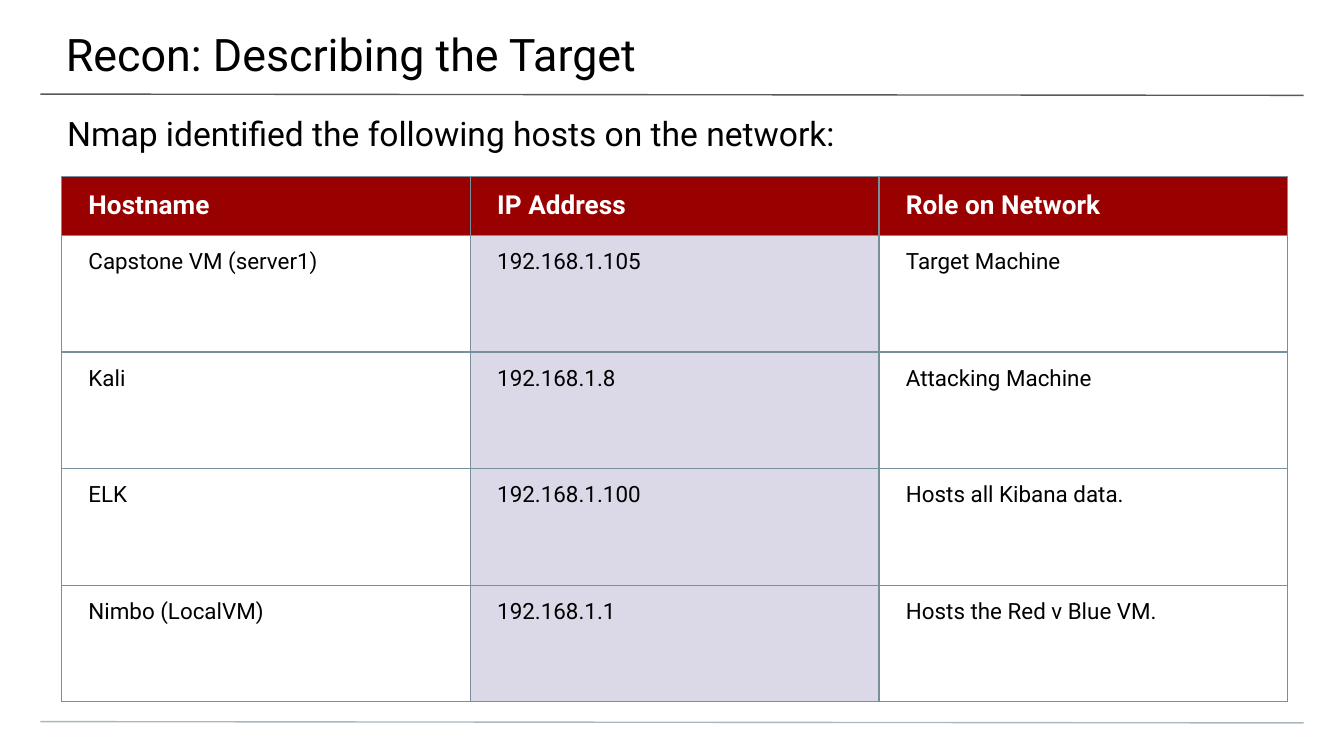
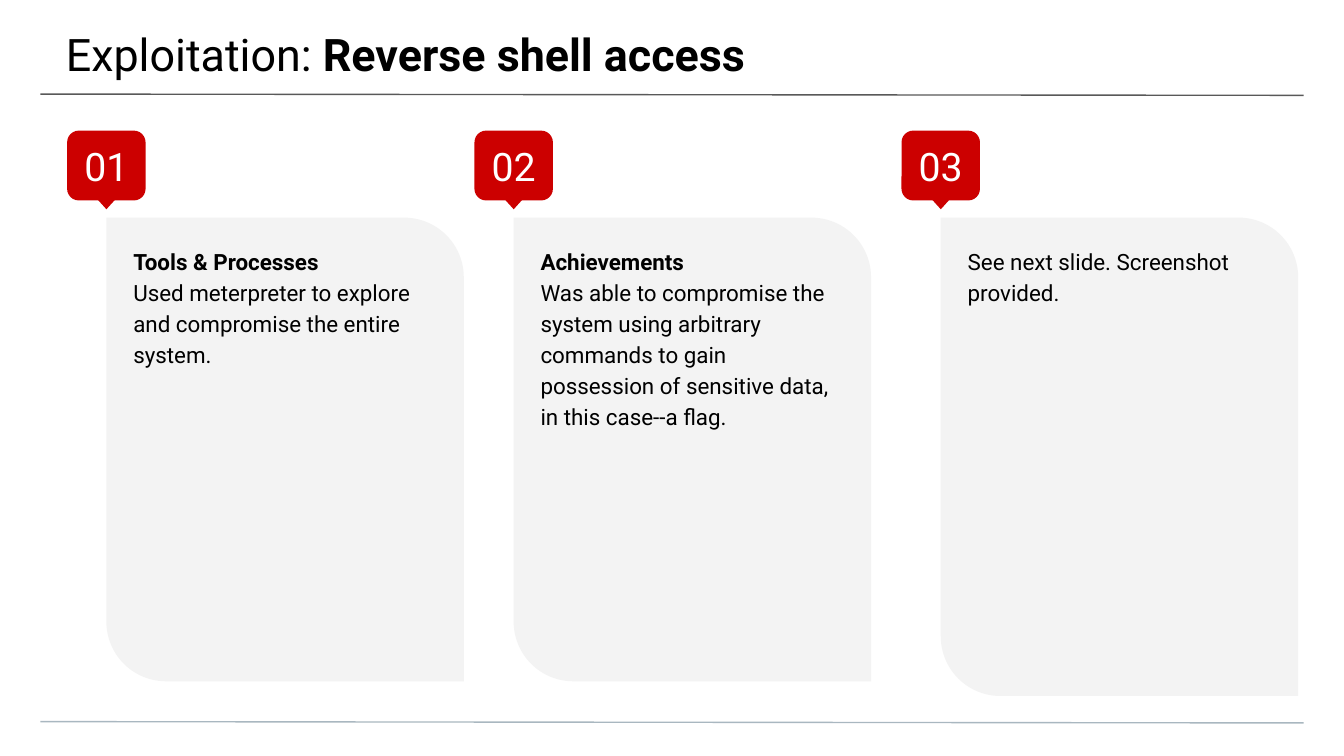
from pptx import Presentation
from pptx.dml.color import RGBColor
from pptx.enum.shapes import MSO_CONNECTOR, MSO_SHAPE
from pptx.enum.text import MSO_ANCHOR, MSO_AUTO_SIZE, PP_ALIGN
from pptx.oxml.ns import qn
from pptx.util import Pt
from lxml.etree import SubElement

COLORS = {
    "black": "000000",
    "white": "FFFFFF",
    "rule": "595959",
    "foot": "A9B7C0",
    "border": "78909C",
    "head": "990000",
    "shade": "DBD9E8",
    "tag": "CC0000",
    "card": "F3F3F3",
}


def color(name):
    return RGBColor.from_string(COLORS[name])


def write(frame, *lines, size=12, ink="black", bold=False, align=PP_ALIGN.LEFT,
          anchor=MSO_ANCHOR.TOP, pad=(7.2, 7.2, 7.2, 7.2), space=None):
    frame.word_wrap = True
    frame.auto_size = MSO_AUTO_SIZE.NONE
    frame.vertical_anchor = anchor
    (frame.margin_left, frame.margin_top,
     frame.margin_right, frame.margin_bottom) = map(Pt, pad)
    for i, line in enumerate(lines):
        para = frame.paragraphs[0] if i == 0 else frame.add_paragraph()
        para.alignment = align
        para.line_spacing = space
        for part in [line] if isinstance(line, str) else line:
            text, strong = (part, bold) if isinstance(part, str) else part
            run = para.add_run()
            run.text = text
            run.font.name = "Roboto"
            run.font.size = Pt(size)
            run.font.bold = strong
            run.font.color.rgb = color(ink)


class Deck:
    def __init__(self):
        self.show = Presentation()
        self.show.slide_width = Pt(720)
        self.show.slide_height = Pt(405)
        self.slide = None

    def page(self, *title):
        self.slide = self.show.slides.add_slide(self.show.slide_layouts[5])
        self.rule(50.4, "rule")
        self.rule(386.6, "foot")
        head = self.slide.shapes.title
        head.left, head.top, head.width, head.height = map(Pt, (-0.7, 0, 722, 42))
        write(head.text_frame, title, size=24, pad=(36, 14.4, 21.6, 7.2))

    def rule(self, top, ink):
        line = self.slide.shapes.add_connector(
            MSO_CONNECTOR.STRAIGHT, Pt(21.6), Pt(top), Pt(698.4), Pt(top + 0.7))
        line.line.color.rgb = color(ink)
        line.line.width = Pt(0.75)
        SubElement(line._element.spPr, qn("a:effectLst"))

    def text(self, box, *lines, **style):
        area = self.slide.shapes.add_textbox(*map(Pt, box))
        write(area.text_frame, *lines, **style)

    def shape(self, kind, box, ink, home=None):
        item = (home or self.slide).shapes.add_shape(kind, *map(Pt, box))
        item.shadow.inherit = False
        item.fill.solid()
        item.fill.fore_color.rgb = color(ink)
        item.line.fill.background()
        return item

    def tag(self, left, label):
        group = self.slide.shapes.add_group_shape()
        badge = self.shape(MSO_SHAPE.ROUNDED_RECTANGLE, (left, 70, 42, 37.4), "tag", group)
        write(badge.text_frame, label, size=21, ink="white",
              align=PP_ALIGN.CENTER, anchor=MSO_ANCHOR.MIDDLE)
        tip = self.shape(MSO_SHAPE.FLOWCHART_EXTRACT, (left + 10.6, 100.6, 20.8, 11.5),
                         "tag", group)
        tip.rotation = 180

    def card(self, left, wide, high, *lines):
        top = 116.6
        back = self.shape(MSO_SHAPE.ROUND_2_DIAG_RECTANGLE, (left, top, 191.5, high), "card")
        back.adjustments[0] = 0
        back.adjustments[1] = 0.167
        self.text((left, top, wide, high), *lines, pad=[14.4] * 4, space=1.15)

    def table(self, left, top, wide, highs, rows):
        cols = len(rows[0])
        grid = self.slide.shapes.add_table(
            len(rows), cols, Pt(left), Pt(top), Pt(wide * cols), Pt(sum(highs))).table
        grid.first_row = grid.horz_banding = False
        for col in grid.columns:
            col.width = Pt(wide)
        for r, row in enumerate(rows):
            grid.rows[r].height = Pt(highs[r])
            for c, value in enumerate(row):
                if r == 0:
                    self.cell(grid.cell(r, c), value, "head", size=14, ink="white",
                              bold=True, anchor=MSO_ANCHOR.MIDDLE)
                else:
                    self.cell(grid.cell(r, c), value, "shade" if c == 1 else None)

    def cell(self, cell, value, fill, anchor=MSO_ANCHOR.TOP, **style):
        write(cell.text_frame, value, **style)
        cell.vertical_anchor = anchor
        cell.margin_left = cell.margin_right = Pt(14.4)
        cell.margin_top = cell.margin_bottom = Pt(7.2)
        props = cell._tc.get_or_add_tcPr()
        for side in ("lnL", "lnR", "lnT", "lnB"):
            edge = SubElement(props, qn("a:" + side), w=str(Pt(0.75)))
            paint = SubElement(edge, qn("a:solidFill"))
            SubElement(paint, qn("a:srgbClr"), val=COLORS["border"])
        if fill:
            cell.fill.solid()
            cell.fill.fore_color.rgb = color(fill)
        else:
            cell.fill.background()


def hosts(deck):
    deck.page("Recon: Describing the Target")
    deck.text((0, 53.3, 720, 28.8), "Nmap identified the following hosts on the network:",
              size=18, pad=(36, 7.2, 36, 0))
    deck.table(33, 94.6, 219, [31.5] + [62.5] * 4, [
        ("Hostname", "IP Address", "Role on Network"),
        ("Capstone VM (server1)", "192.168.1.105", "Target Machine"),
        ("Kali", "192.168.1.8", "Attacking Machine"),
        ("ELK", "192.168.1.100", "Hosts all Kibana data."),
        ("Nimbo (LocalVM)", "192.168.1.1", "Hosts the Red v Blue VM."),
    ])


def shell(deck):
    deck.page("Exploitation: ", ("Reverse shell access", True))
    cards = [
        (36, 186.5, 248.4, [
            [("Tools & Processes", True)],
            "Used meterpreter to explore and compromise the entire system."]),
        (254.2, 191.5, 248.4, [
            [("Achievements", True)],
            "Was able to compromise the system using arbitrary commands to gain "
            "possession of sensitive data, in this case--a flag."]),
        (483, 186.5, 256.3, ["See next slide. Screenshot provided."]),
    ]
    for i, (left, wide, high, lines) in enumerate(cards, 1):
        deck.card(left + 21, wide, high, *lines)
        deck.tag(left, f"{i:02}")


def main():
    deck = Deck()
    hosts(deck)
    shell(deck)
    deck.show.save("out.pptx")


if __name__ == "__main__":
    main()
